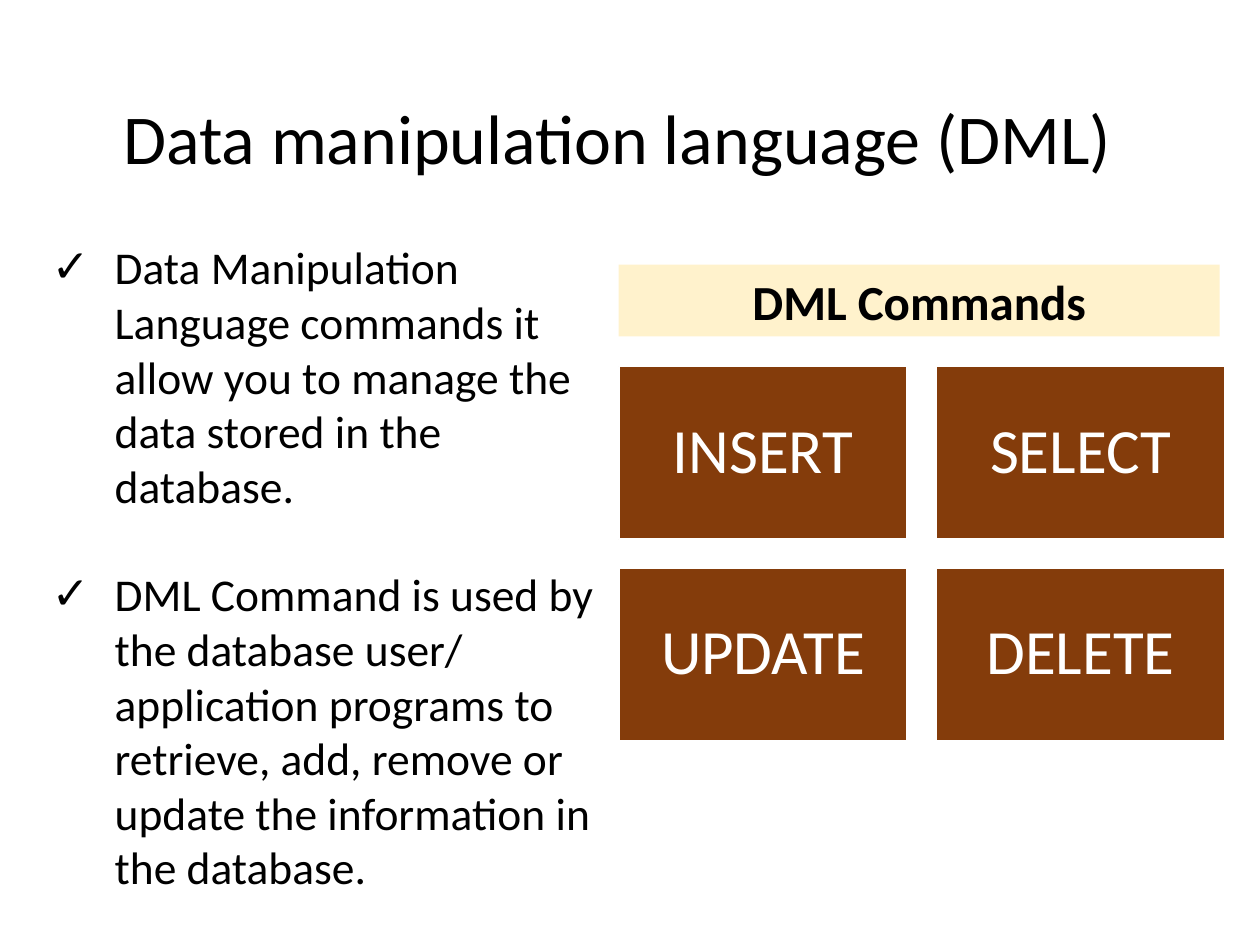
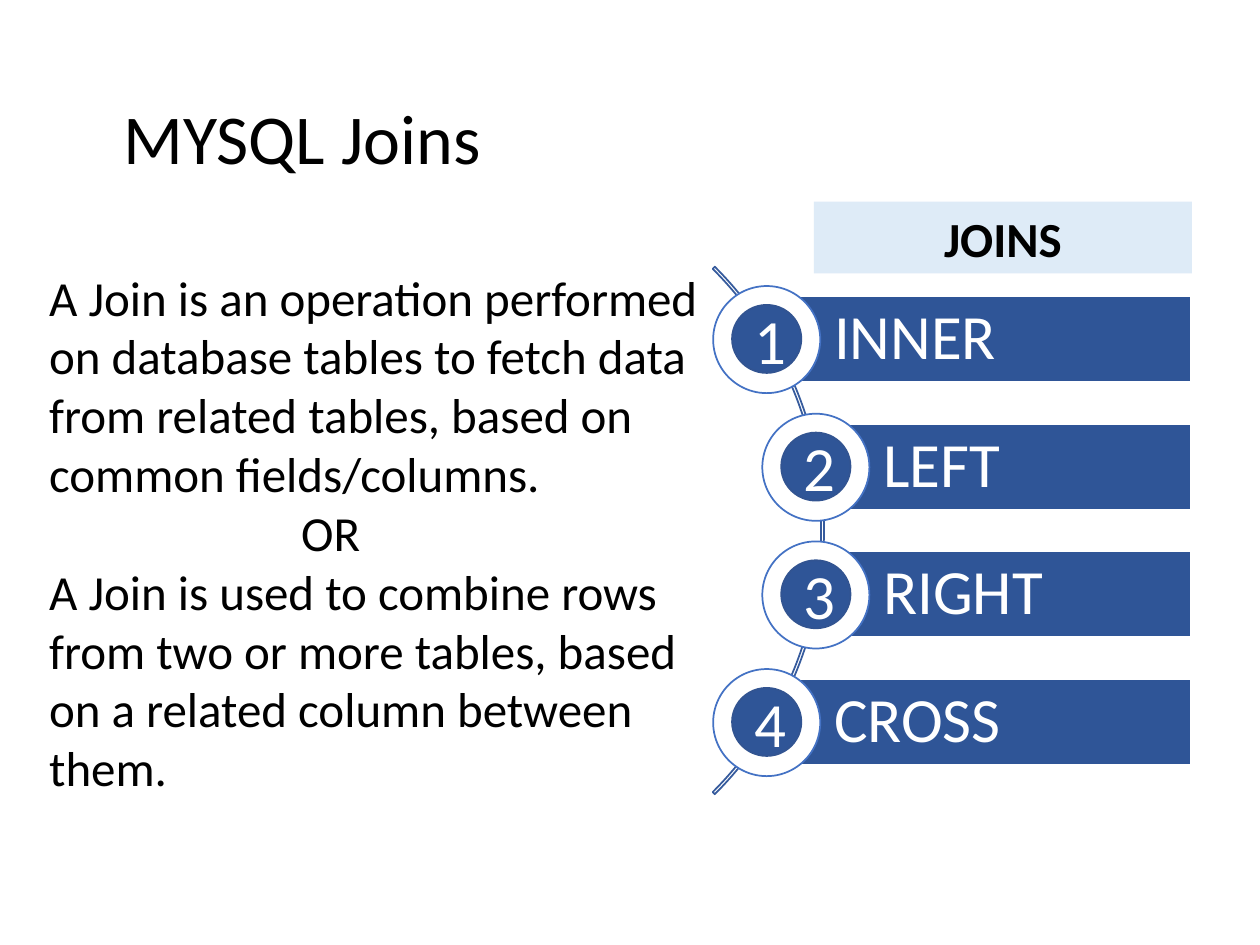
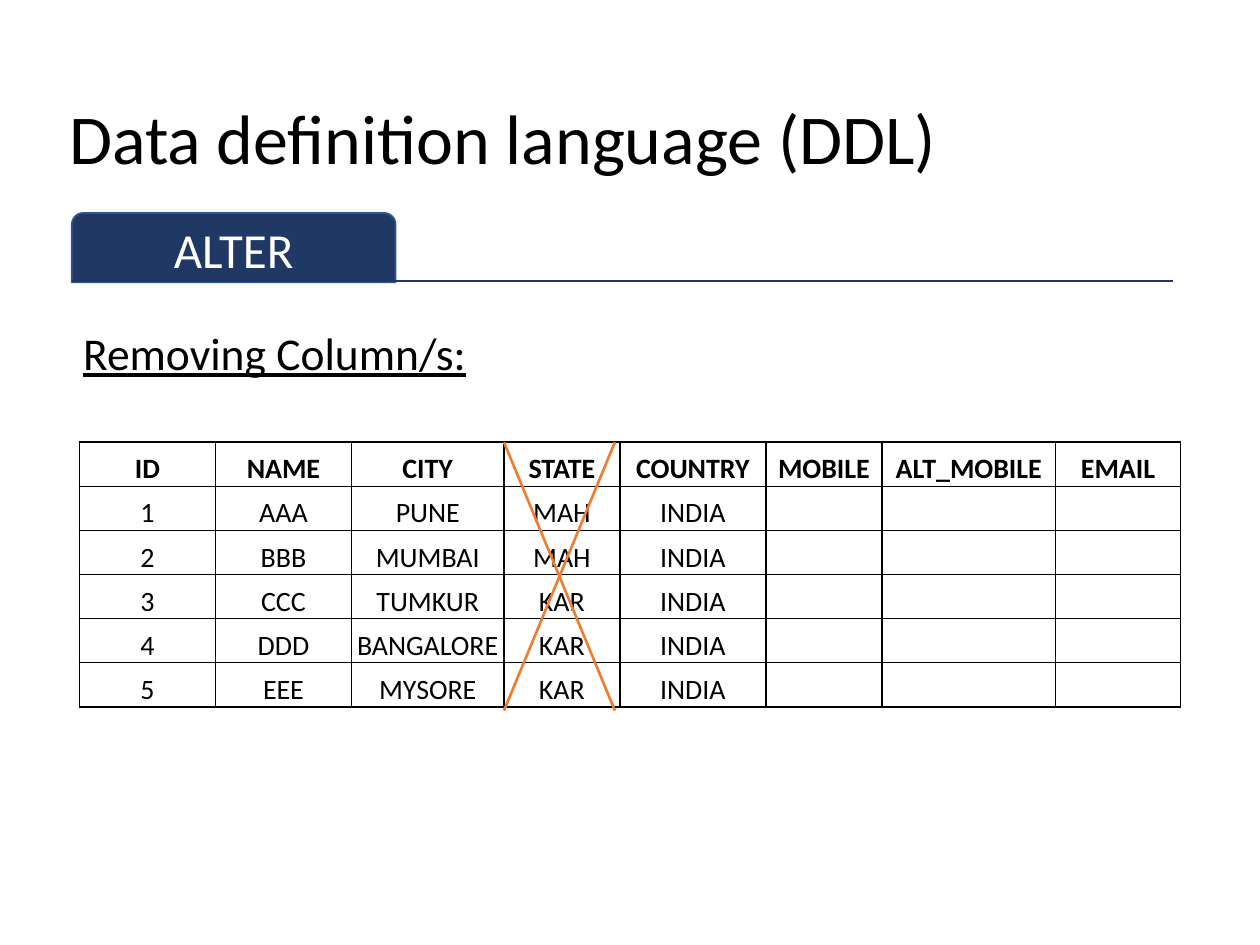
from lxml.etree import SubElement
from pptx import Presentation
from pptx.dml.color import RGBColor
from pptx.enum.shapes import MSO_CONNECTOR, MSO_SHAPE
from pptx.enum.text import MSO_ANCHOR, MSO_AUTO_SIZE, PP_ALIGN
from pptx.oxml.ns import qn
from pptx.util import Inches, Pt

FONT = "Calibri"
COLORS = {
    "text": "000000", "white": "FFFFFF", "brown": "843C0B", "cream": "FFF2CC",
    "blue": "2F5597", "ring": "4472C4", "edge": "325491", "arc": "365B9D",
    "pale": "DEEBF7", "navy": "203864", "cross": "ED7D31",
}


def rgb(name):
    return RGBColor.from_string(COLORS[name])


def style(p, size, color="text", bold=False, underline=False, align=PP_ALIGN.LEFT):
    p.alignment = align
    for r in p.runs:
        f = r.font
        f.name, f.size, f.bold, f.underline = FONT, Pt(size), bold, underline
        f.color.rgb = rgb(color)


def place(sp, left, top, width, height):
    sp.left, sp.top = Inches(left), Inches(top)
    sp.width, sp.height = Inches(width), Inches(height)


def add_box(s, kind, box, fill=None, line=None):
    sp = s.shapes.add_shape(kind, *map(Inches, box))
    sp.shadow.inherit = False
    if fill:
        sp.fill.solid()
        sp.fill.fore_color.rgb = rgb(fill)
    else:
        sp.fill.background()
    if line:
        sp.line.color.rgb = rgb(line)
        sp.line.width = Pt(1)
    else:
        sp.line.fill.background()
    return sp


def label(sp, text, size, color="white", bold=False, align=PP_ALIGN.CENTER):
    tf = sp.text_frame
    tf.word_wrap = True
    tf.vertical_anchor = MSO_ANCHOR.MIDDLE
    tf.text = text
    style(tf.paragraphs[0], size, color, bold, align=align)
    return tf


def add_heading(s, box, text, fill):
    label(add_box(s, MSO_SHAPE.RECTANGLE, box, fill), text, 28, "text", True)


def add_line(s, x1, y1, x2, y2, color):
    cx = s.shapes.add_connector(MSO_CONNECTOR.STRAIGHT, *map(Inches, (x1, y1, x2, y2)))
    cx.line.color.rgb = rgb(color)
    cx.line.width = Pt(1.5)
    SubElement(cx._element.spPr, qn("a:effectLst"))


def new_slide(prs, title, left=0.88, width=8.62):
    s = prs.slides.add_slide(prs.slide_layouts[1])
    sp = s.shapes.title
    place(sp, left, 0.4, width, 1.45)
    tf = label(sp, title, 40, "text", align=PP_ALIGN.LEFT)
    tf.auto_size = MSO_AUTO_SIZE.NONE
    tf.paragraphs[0].line_spacing = 0.9
    return s


def fill_body(s, box, texts, size, bullet=None, gap=0, **look):
    sp = s.placeholders[1]
    place(sp, *box)
    tf = sp.text_frame
    tf.auto_size = MSO_AUTO_SIZE.NONE
    tf.vertical_anchor = MSO_ANCHOR.TOP
    tf.text = "\n".join(texts)
    for i, p in enumerate(tf.paragraphs):
        pPr = p._p.get_or_add_pPr()
        indent = Inches(0.5) if bullet else 0
        pPr.set("marL", str(indent))
        pPr.set("indent", str(-indent))
        if bullet:
            SubElement(pPr, qn("a:buChar")).set("char", bullet)
        else:
            SubElement(pPr, qn("a:buNone"))
        p.space_before = Pt(gap if i else 0)
        style(p, size, **look)
    return tf


def command_grid(s, left, top, names):
    add_heading(s, (left, top, 4.77, 0.57), "DML Commands", "cream")
    for i, name in enumerate(names):
        row, col = divmod(i, 2)
        box = (left + col * 2.52, top + 0.81 + row * 1.6, 2.29, 1.37)
        sp = add_box(s, MSO_SHAPE.RECTANGLE, box, "brown", "white")
        label(sp, name, 36).paragraphs[0].line_spacing = 0.9


def join_list(s, left, top, names):
    arc = add_box(s, MSO_SHAPE.BLOCK_ARC, (left - 5.46, top - 1.1, 5.92, 5.92), line="arc")
    for i, value in enumerate((189, 27, 0.004)):
        arc.adjustments[i] = value
    right = left + 3.37
    for i, name in enumerate(names):
        x = left + (0.39 if i in (1, 2) else 0)
        y = top + i * 3.04 / 3
        bar = add_box(s, MSO_SHAPE.RECTANGLE, (x, y, right - x, 0.68), "blue", "white")
        tf = label(bar, name, 36, align=PP_ALIGN.LEFT)
        tf.margin_left = Inches(0.54)
        tf.paragraphs[0].line_spacing = 0.9
        add_box(s, MSO_SHAPE.OVAL, (x - 0.42, y - 0.08, 0.85, 0.85), "white", "ring")
        badge = add_box(s, MSO_SHAPE.OVAL, (x - 0.27, y + 0.07, 0.55, 0.54), "blue", "edge")
        label(badge, str(i + 1), 36)
    add_heading(s, (left + 0.38, top - 0.75, 3, 0.57), "JOINS", "pale")


def section_tab(s, left, top, width, text):
    sp = add_box(s, MSO_SHAPE.ROUND_2_SAME_RECTANGLE, (left, top, 2.57, 0.55), "navy", "edge")
    label(sp, text, 28)
    add_line(s, left, top + 0.54, left + width, top + 0.54, "navy")


def border_cell(cell):
    tcPr = cell._tc.get_or_add_tcPr()
    for side in ("lnL", "lnR", "lnT", "lnB"):
        ln = SubElement(tcPr, qn(f"a:{side}"), w=str(Pt(1)))
        fill = SubElement(ln, qn("a:solidFill"))
        SubElement(fill, qn("a:srgbClr"), val=COLORS["text"])


def people_table(s, left, top, rows, widths, dropped):
    height = 0.35
    frame = s.shapes.add_table(len(rows), len(widths), Inches(left), Inches(top),
                               Inches(sum(widths)), Inches(height * len(rows)))
    table = frame.table
    table.horz_banding = False
    for col, width in zip(table.columns, widths):
        col.width = Inches(width)
    for r, values in enumerate(rows):
        table.rows[r].height = Inches(height)
        for c in range(len(widths)):
            cell = table.cell(r, c)
            border_cell(cell)
            cell.fill.background()
            cell.margin_left = cell.margin_right = cell.margin_top = Inches(0.01)
            cell.margin_bottom = 0
            cell.vertical_anchor = MSO_ANCHOR.BOTTOM
            if c < len(values):
                cell.text = values[c]
                style(cell.text_frame.paragraphs[0], 16, bold=r == 0, align=PP_ALIGN.CENTER)
    x1 = left + sum(widths[:dropped])
    x2 = x1 + 0.88
    bottom = top + 2.13
    add_line(s, x2, top, x1, bottom, "cross")
    add_line(s, x1, top, x2, bottom, "cross")


def dml_slide(prs):
    s = new_slide(prs, "Data manipulation language (DML)")
    fill_body(s, (0.31, 1.85, 4.69, 5.35), [
        "Data Manipulation Language commands it allow you to manage the data stored in the database.",
        "DML Command is used by the database user/ application programs to retrieve, add, remove "
        "or update the information in the database.",
    ], 26, bullet="✓", gap=31)
    command_grid(s, 4.91, 2.1, ("INSERT", "SELECT", "UPDATE", "DELETE"))


def joins_slide(prs):
    s = new_slide(prs, "MYSQL Joins")
    tf = fill_body(s, (0.29, 2.07, 5.57, 4.34), [
        "A Join is an operation performed on database tables to fetch data from related tables, "
        "based on common fields/columns.",
        "OR",
        "A Join is used to combine rows from two or more tables, based on a related column "
        "between them.",
    ], 28)
    tf.paragraphs[1]._p.pPr.set("marL", str(Inches(2)))
    join_list(s, 6.08, 2.35, ("INNER", "LEFT", "RIGHT", "CROSS"))


def ddl_slide(prs):
    s = new_slide(prs, "Data definition language (DDL)", 0.45, 8.87)
    section_tab(s, 0.57, 1.69, 8.74, "ALTER")
    fill_body(s, (0.56, 2.53, 8.74, 0.98), ["Removing Column/s:"], 26,
              underline=True, align=PP_ALIGN.JUSTIFY)
    rows = [
        ("ID", "NAME", "CITY", "STATE", "COUNTRY", "MOBILE", "ALT_MOBILE", "EMAIL"),
        ("1", "AAA", "PUNE", "MAH", "INDIA"),
        ("2", "BBB", "MUMBAI", "MAH", "INDIA"),
        ("3", "CCC", "TUMKUR", "KAR", "INDIA"),
        ("4", "DDD", "BANGALORE", "KAR", "INDIA"),
        ("5", "EEE", "MYSORE", "KAR", "INDIA"),
    ]
    widths = (1.08, 1.08, 1.21, 0.92, 1.16, 0.92, 1.38, 0.99)
    people_table(s, 0.63, 3.51, rows, widths, rows[0].index("STATE"))


def main():
    prs = Presentation()
    prs.slide_width, prs.slide_height = Inches(10), Inches(7.5)
    dml_slide(prs)
    joins_slide(prs)
    ddl_slide(prs)
    prs.save("out.pptx")


if __name__ == "__main__":
    main()
